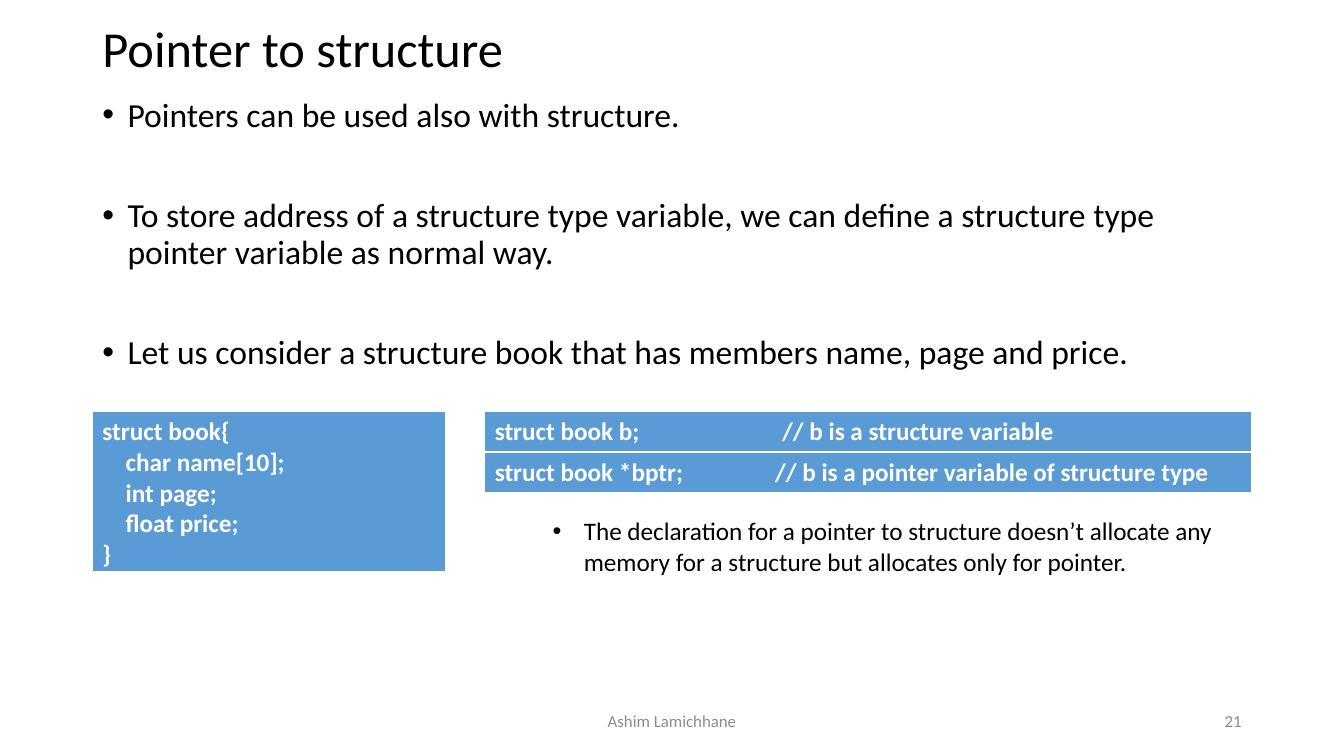
from lxml import etree
from pptx import Presentation
from pptx import util as u
from pptx.dml.color import RGBColor
from pptx.enum import text
from pptx.oxml import ns

COLOURS = {"ink": "000000", "muted": "8C8C8C", "code": "5B9BD5", "paper": "FFFFFF"}
FONT = "Calibri"
# Grid of 160 columns by 90 rows, square cells
SLIDE_W, SLIDE_H = u.Inches(13.33), u.Inches(7.5)
COL, ROW = SLIDE_W / 160, SLIDE_H / 90
LEFT, FULL, RIGHT_LEFT, RIGHT_WIDTH = 11, 138, 57.7, 91.3
CODE_TOP, CODE_ROW = 49, 4.9


def cells(left, top, width, height):
    return [int(n) for n in (left * COL, top * ROW, width * COL, height * ROW)]


def style(paragraph, size, colour, bold=False):
    for run in paragraph.runs:
        font = run.font
        font.name, font.size, font.bold = FONT, u.Pt(size), bold
        font.color.rgb = RGBColor.from_string(COLOURS[colour])


def add_bullet(paragraph, indent):
    props = paragraph._p.get_or_add_pPr()
    props.set("marL", str(u.Inches(indent)))
    props.set("indent", str(-u.Inches(indent)))
    etree.SubElement(props, ns.qn("a:buFont")).set("typeface", "Arial")
    etree.SubElement(props, ns.qn("a:buChar")).set("char", "•")


def add_title(slide, wording):
    title = slide.shapes.title
    title.left, title.top, title.width, title.height = cells(LEFT, 2.25, FULL, 7.8)
    frame = title.text_frame
    frame.text = wording
    frame.auto_size = text.MSO_AUTO_SIZE.NONE
    frame.vertical_anchor = text.MSO_ANCHOR.MIDDLE
    heading = frame.paragraphs[0]
    heading.alignment, heading.line_spacing = text.PP_ALIGN.LEFT, 0.9
    style(heading, 36, "ink")


def add_text(slide, area, wording):
    frame = slide.shapes.add_textbox(*cells(*area)).text_frame
    frame.word_wrap = True
    frame.text = wording
    return frame


def add_bullets(slide, area, points, size, indent, spacing=1.0, first=0, gap=0):
    frame = add_text(slide, area, "\n".join(points))
    for index, point in enumerate(frame.paragraphs):
        point.line_spacing = spacing
        point.space_before = u.Pt(gap if index else first)
        add_bullet(point, indent)
        style(point, size, "ink")


def add_footer(slide, left, width, wording, alignment):
    frame = add_text(slide, (left, 83.4, width, 4.8), wording)
    frame.vertical_anchor = text.MSO_ANCHOR.MIDDLE
    frame.paragraphs[0].alignment = alignment
    style(frame.paragraphs[0], 12, "muted")


def add_borders(cell):
    props = cell._tc.get_or_add_tcPr()
    for index, (side, width) in enumerate((("L", 1), ("R", 1), ("T", 1), ("B", 3))):
        line = etree.Element(ns.qn("a:ln" + side), w=str(u.Pt(width)))
        fill = etree.SubElement(line, ns.qn("a:solidFill"))
        etree.SubElement(fill, ns.qn("a:srgbClr")).set("val", COLOURS["paper"])
        props.insert(index, line)


def add_code(slide, area, lines, indents=(), comment_at=None):
    table = slide.shapes.add_table(1, 1, *cells(*area)).table
    cell = table.cell(0, 0)
    cell.fill.solid()
    cell.fill.fore_color.rgb = RGBColor.from_string(COLOURS["code"])
    add_borders(cell)
    cell.text_frame.text = "\n".join(lines)
    for index, statement in enumerate(cell.text_frame.paragraphs):
        style(statement, 18, "paper", bold=True)
        props = statement._p.get_or_add_pPr()
        if index in indents:
            props.set("marL", str(u.Inches(0.23)))
        if comment_at:
            stops = etree.SubElement(props, ns.qn("a:tabLst"))
            etree.SubElement(stops, ns.qn("a:tab"), pos=str(u.Inches(comment_at)), algn="l")


def main():
    deck = Presentation()
    deck.slide_width, deck.slide_height = SLIDE_W, SLIDE_H
    slide = deck.slides.add_slide(deck.slide_layouts[5])

    # Title and main points
    add_title(slide, "Pointer to structure")
    add_bullets(slide, (LEFT, 11.1, FULL, 70), [
        "Pointers can be used also with structure.",
        "To store address of a structure type variable, we can define "
        "a structure type pointer variable as normal way.",
        "Let us consider a structure book that has members name, page and price.",
    ], size=24, indent=0.25, spacing=0.9, first=10, gap=46)

    # Structure definition
    add_code(slide, (LEFT, CODE_TOP, 42, 19.2),
             ["struct book{", "char name[10];", "int page;", "float price;", "}"],
             indents=(1, 2, 3))

    # Variable declarations, with comments at a tab stop
    declarations = [
        ("struct book b;\t// b is a structure variable", 2.85),
        ("struct book *bptr;\t// b is a pointer variable of structure type", 2.78),
    ]
    for index, (declaration, comment_at) in enumerate(declarations):
        add_code(slide, (RIGHT_LEFT, CODE_TOP + index * CODE_ROW, RIGHT_WIDTH, CODE_ROW),
                 [declaration], comment_at=comment_at)

    # Memory remark
    add_bullets(slide, (64.6, 60.8, 82.5, 8.5), [
        "The declaration for a pointer to structure doesn’t allocate any "
        "memory for a structure but allocates only for pointer.",
    ], size=18, indent=0.31)

    # Footer
    add_footer(slide, 53, 54, "Ashim Lamichhane", text.PP_ALIGN.CENTER)
    add_footer(slide, 113, 36, "21", text.PP_ALIGN.RIGHT)
    deck.save("out.pptx")


if __name__ == "__main__":
    main()
